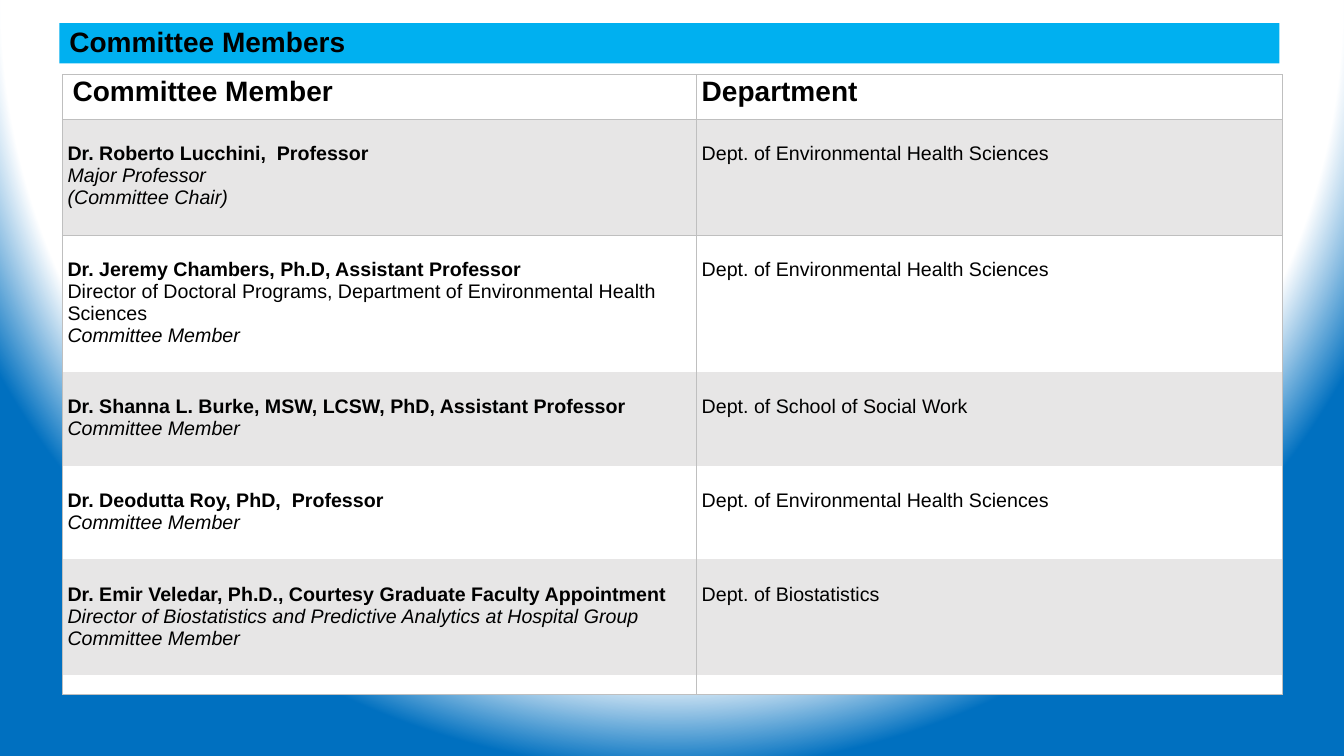
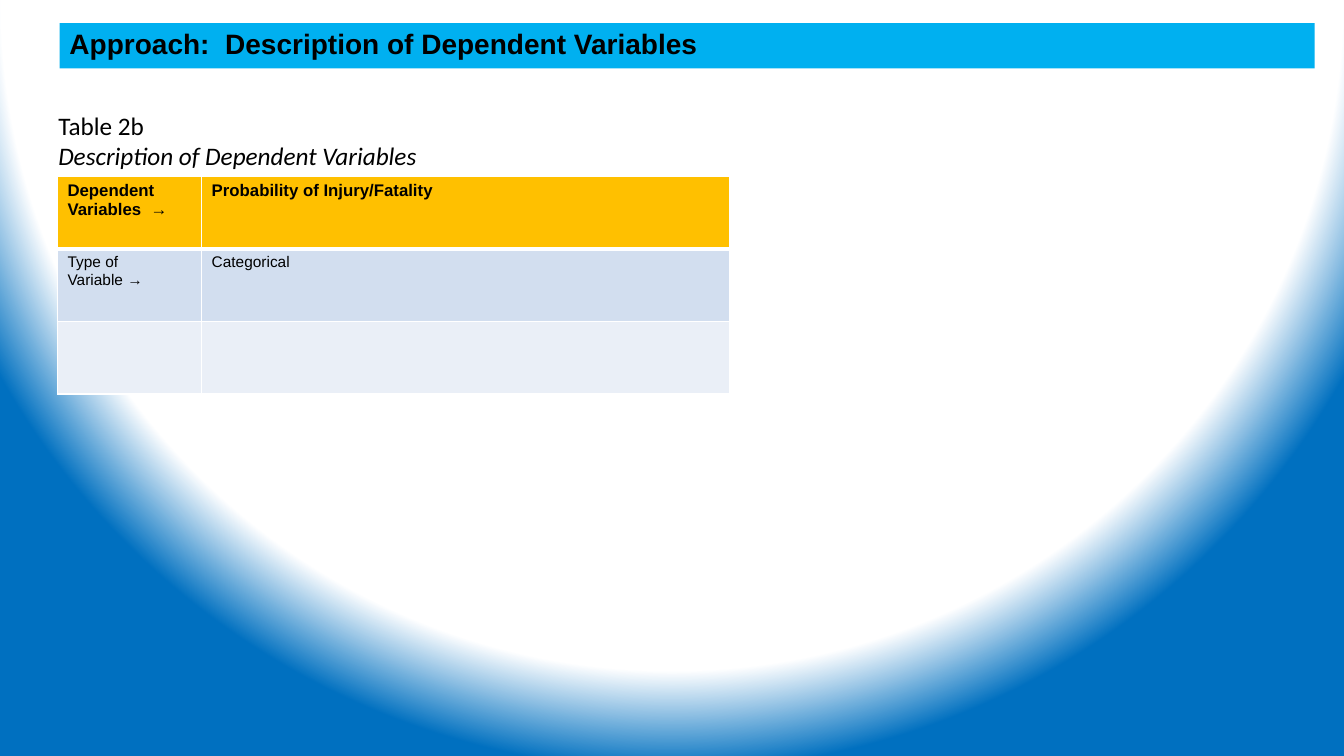
from lxml import etree
from pptx import Presentation
from pptx.dml.color import RGBColor
from pptx.enum.shapes import MSO_SHAPE
from pptx.enum.text import MSO_ANCHOR, PP_ALIGN
from pptx.oxml import parse_xml
from pptx.oxml.ns import qn
from pptx.util import Inches, Pt

RECT = MSO_SHAPE.RECTANGLE
MIDDLE = MSO_ANCHOR.MIDDLE
LEFT = PP_ALIGN.LEFT

BLACK = RGBColor(0x00, 0x00, 0x00)
WHITE = RGBColor(0xFF, 0xFF, 0xFF)
CYAN = RGBColor(0x00, 0xB0, 0xF0)
BLUE = RGBColor(0x00, 0x70, 0xC0)
GRAY = RGBColor(0xE7, 0xE6, 0xE6)
SILVER = RGBColor(0xBF, 0xBF, 0xBF)
GOLD = RGBColor(0xFF, 0xC0, 0x00)
SKY = RGBColor(0xD2, 0xDE, 0xEF)
PALE = RGBColor(0xEA, 0xEF, 0xF7)

BOLD = {"bold": True}
ITALIC = {"italic": True}
PLAIN = {}

GLOW = f"""<a:gradFill xmlns:a="http://schemas.openxmlformats.org/drawingml/2006/main" rotWithShape="1">
<a:gsLst><a:gs pos="87000"><a:srgbClr val="{WHITE}"/></a:gs>
<a:gs pos="100000"><a:srgbClr val="{BLUE}"/></a:gs></a:gsLst>
<a:path path="circle"><a:fillToRect l="50000" t="-80000" r="50000" b="180000"/></a:path>
</a:gradFill>"""


def put(frame, text, size=14, font="Arial", bold=False, italic=False, color=BLACK, space=None):
    para = frame.add_paragraph() if frame.text else frame.paragraphs[0]
    para.alignment = LEFT
    para.line_spacing = space
    if not text:
        etree.SubElement(para._p, qn("a:endParaRPr"), sz=str(size * 100))
        return
    run = para.add_run()
    run.text = text
    style = run.font
    style.size, style.name = Pt(size), font
    style.bold, style.italic = bold, italic
    style.color.rgb = color


def edge(cell, color, widths):
    props = cell._tc.get_or_add_tcPr()
    for side in "LRTB":
        width = widths.get(side, 0)
        line = etree.SubElement(props, qn(f"a:ln{side}"), w=str(Pt(width)))
        if width:
            fill = etree.SubElement(line, qn("a:solidFill"))
            etree.SubElement(fill, qn("a:srgbClr"), val=str(color))
        else:
            etree.SubElement(line, qn("a:noFill"))


class Deck:
    def __init__(self):
        self.prs = Presentation()
        self.prs.slide_width = Inches(13.33)
        self.prs.slide_height = Inches(7.5)
        self.slide = None
        master = self.prs.slide_master
        master.background.fill.solid()
        props = master.element.find(".//" + qn("p:bgPr"))
        props.replace(props.find(qn("a:solidFill")), parse_xml(GLOW))

    def page(self, text, width, height):
        self.slide = self.prs.slides.add_slide(self.prs.slide_layouts[6])
        bar = self.slide.shapes.add_shape(
            RECT, Inches(0.59), Inches(0.23), Inches(width), Inches(height))
        bar.shadow.inherit = False
        bar.fill.solid()
        bar.fill.fore_color.rgb = CYAN
        bar.line.fill.background()
        bar.text_frame.word_wrap = True
        bar.text_frame.vertical_anchor = MIDDLE
        put(bar.text_frame, text, size=20, bold=True, space=0.9)

    def note(self, lines, left, top, width, height):
        box = self.slide.shapes.add_textbox(
            Inches(left), Inches(top), Inches(width), Inches(height))
        box.text_frame.word_wrap = True
        for text, form in lines:
            put(box.text_frame, text, size=18, font="Calibri", **form)

    def grid(self, left, top, cols, rows):
        shape = self.slide.shapes.add_table(
            len(rows), len(cols), Inches(left), Inches(top),
            Inches(sum(cols)), Inches(sum(rows)))
        table = shape.table
        table.first_row = table.horz_banding = False
        for col, width in zip(table.columns, cols):
            col.width = Inches(width)
        for row, height in zip(table.rows, rows):
            row.height = Inches(height)
        return table

    def cell(self, cell, lines, size, fill, color, widths, pads=None):
        if pads:
            cell.margin_left, cell.margin_top, cell.margin_right, cell.margin_bottom = map(Inches, pads)
        edge(cell, color, widths)
        if fill is None:
            cell.fill.background()
        else:
            cell.fill.solid()
            cell.fill.fore_color.rgb = fill
        for text, form in lines:
            put(cell.text_frame, text, size=size, **form)


def members(deck):
    deck.page("Committee Members", 12.1, 0.4)
    role = ("Committee Member", ITALIC)
    health = "Dept. of Environmental Health Sciences"
    staff = [
        (1.15, health, [
            ("Dr. Roberto Lucchini,  Professor", BOLD),
            ("Major Professor", ITALIC),
            ("(Committee Chair)", ITALIC)]),
        (1.36, health, [
            ("Dr. Jeremy Chambers, Ph.D, Assistant Professor", BOLD),
            ("Director of Doctoral Programs, Department of Environmental Health Sciences", PLAIN),
            role]),
        (0.93, "Dept. of School of Social Work", [
            ("Dr. Shanna L. Burke, MSW, LCSW, PhD, Assistant Professor", BOLD), role]),
        (0.93, health, [("Dr. Deodutta Roy, PhD,  Professor", BOLD), role]),
        (1.15, "Dept. of Biostatistics", [
            ("Dr. Emir Veledar, Ph.D., Courtesy Graduate Faculty Appointment", BOLD),
            ("Director of Biostatistics and Predictive Analytics at Hospital Group", ITALIC),
            role]),
    ]
    rows = [0.44] + [item[0] for item in staff] + [0.19]
    table = deck.grid(0.62, 0.74, [6.29, 5.81], rows)
    sides = dict.fromkeys("LR", 0.6)
    frame = dict.fromkeys("LRTB", 0.6)
    for col, (text, pad) in enumerate([("Committee Member", 0.1), ("Department", 0.05)]):
        deck.cell(table.cell(0, col), [(text, BOLD)], 20, None, SILVER, frame,
                  (pad, 0.02, 0.05, 0.02))
        deck.cell(table.cell(len(rows) - 1, col), [("", PLAIN)], 9, WHITE, SILVER,
                  {**sides, "B": 0.6}, (0.05, 0.02, 0.05, 0.02))
    for row, (_, dept, lines) in enumerate(staff, 1):
        widths = {1: frame, 2: {**sides, "T": 0.6}}.get(row, sides)
        fill = GRAY if row % 2 else WHITE
        for col, part in enumerate([lines, [(dept, PLAIN)]]):
            deck.cell(table.cell(row, col), part, 14, fill, SILVER, widths,
                      (0.05, 0.24, 0.05, 0.02))


def outcomes(deck):
    deck.page("Approach:  Description of Dependent Variables", 12.45, 0.45)
    rows = [
        (12, GOLD, [[("Dependent Variables  →", BOLD)],
                    [("Probability of Injury/Fatality", BOLD)]]),
        (11, SKY, [[("Type of", PLAIN), ("Variable →", PLAIN)],
                   [("Categorical", PLAIN)]]),
        (11, PALE, [[], []]),
    ]
    table = deck.grid(0.57, 1.75, [1.43, 5.24], [0.72] * len(rows))
    thin = dict.fromkeys("LRTB", 1)
    rules = [{**thin, "B": 3}, {**thin, "T": 3}, thin]
    for row, (size, fill, parts) in enumerate(rows):
        for col, lines in enumerate(parts):
            deck.cell(table.cell(row, col), lines, size, fill, WHITE, rules[row])
    deck.note([("Table 2b", PLAIN), ("Description of Dependent Variables", ITALIC)],
              0.48, 1.04, 6.67, 0.71)


def main():
    deck = Deck()
    members(deck)
    outcomes(deck)
    deck.prs.save("out.pptx")


if __name__ == "__main__":
    main()
